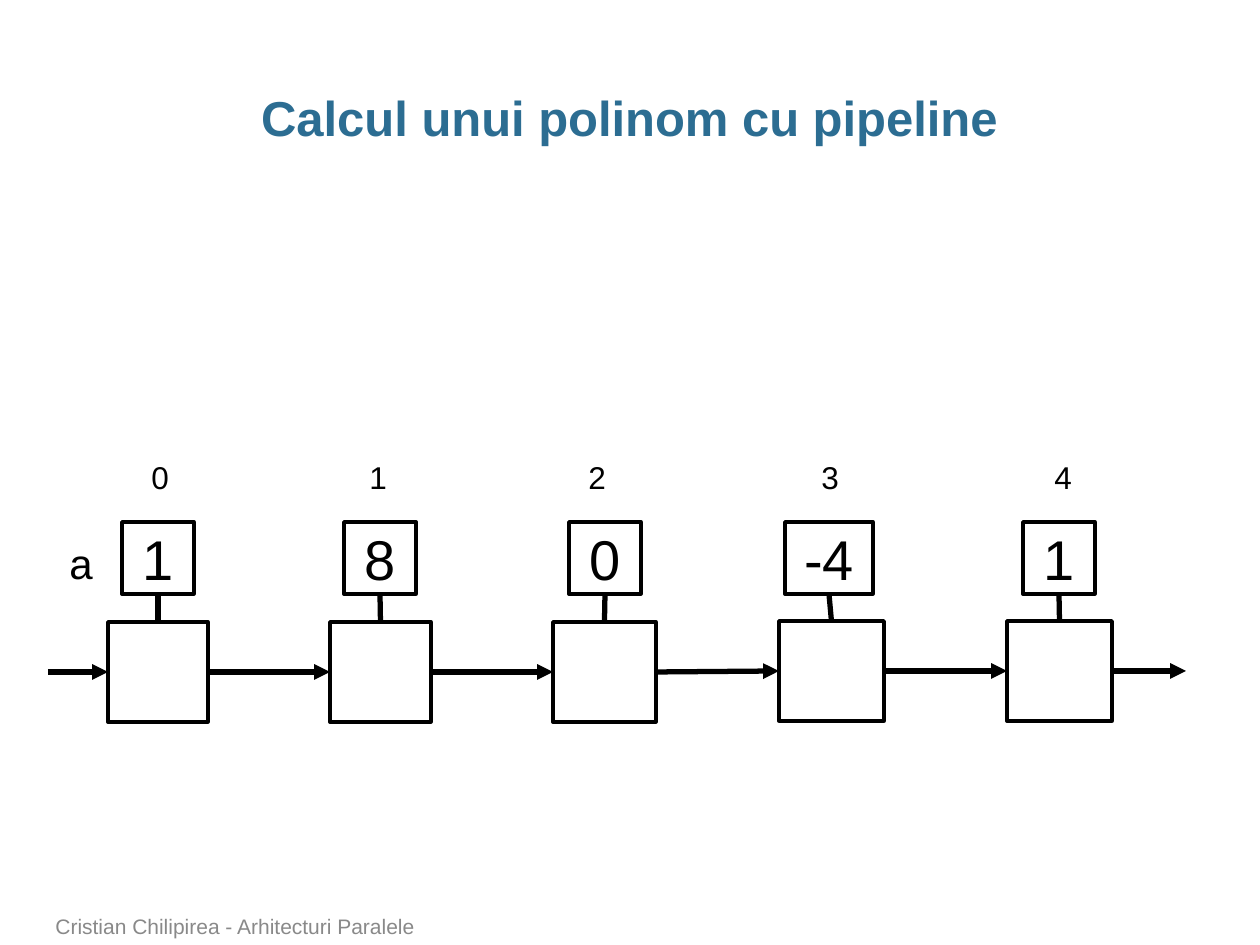
from collections import namedtuple

from lxml import etree
from pptx import Presentation
from pptx.dml.color import RGBColor
from pptx.enum.shapes import MSO_CONNECTOR, MSO_SHAPE
from pptx.enum.text import MSO_ANCHOR, MSO_AUTO_SIZE, PP_ALIGN
from pptx.oxml.ns import qn
from pptx.util import Emu, Pt

RECTANGLE = MSO_SHAPE.RECTANGLE
STRAIGHT = MSO_CONNECTOR.STRAIGHT
LEFT, CENTER = PP_ALIGN.LEFT, PP_ALIGN.CENTER
TOP, MIDDLE, BOTTOM = MSO_ANCHOR.TOP, MSO_ANCHOR.MIDDLE, MSO_ANCHOR.BOTTOM
FIT_SHAPE = MSO_AUTO_SIZE.SHAPE_TO_FIT_TEXT

EMU_PER_PX = 914400 / 126
FONT = "Arial"
COLORS = {"title": "2C6D92", "ink": "000000", "footer": "898989"}

STAGE_HEIGHT = 100
COEFFICIENT_TOP, COEFFICIENT_HEIGHT = 522, 72
INDEX_TOP, INDEX_WIDTH, INDEX_HEIGHT = 452, 43, 50
INPUT_X, OUTPUT_X = 48, 1186

Stage = namedtuple(
    "Stage", "left top width coefficient coefficient_left coefficient_width index_left")
STAGES = [
    Stage(108, 622, 100, "1", 122, 72, 139),
    Stage(330, 622, 101, "8", 344, 72, 357),
    Stage(553, 622, 103, "0", 569, 72, 576),
    Stage(779, 621, 105, "-4", 785, 88, 809),
    Stage(1007, 621, 105, "1", 1023, 72, 1042),
]


def px(length):
    return Emu(round(length * EMU_PER_PX))


def color(name):
    return RGBColor.from_string(COLORS[name])


def write(shape, text, size=18, ink="ink", bold=False, align=LEFT, anchor=TOP,
          wrap=True, side_inset=None, spacing=None):
    frame = shape.text_frame
    frame.word_wrap = wrap
    frame.vertical_anchor = anchor
    if not wrap:
        frame.auto_size = FIT_SHAPE
    if side_inset is not None:
        frame.margin_left = frame.margin_right = px(side_inset)
    para = frame.paragraphs[0]
    para.alignment = align
    if spacing:
        para.line_spacing = spacing
    span = para.add_run()
    span.text = text
    span.font.name = FONT
    span.font.size = Pt(size)
    span.font.bold = bold
    span.font.color.rgb = color(ink)


def add_label(page, text, left, top, width, height, **style):
    box = page.shapes.add_textbox(px(left), px(top), px(width), px(height))
    write(box, text, **style)


def add_box(page, left, top, width, height):
    box = page.shapes.add_shape(RECTANGLE, px(left), px(top), px(width), px(height))
    box.shadow.inherit = False
    box.fill.background()
    box.line.color.rgb = color("ink")
    box.line.width = Pt(2)
    return box


def add_line(page, start, end, arrow=False):
    line = page.shapes.add_connector(STRAIGHT, *map(px, start + end))
    line.line.color.rgb = color("ink")
    line.line.width = Pt(3)
    if arrow:
        outline = line.line._get_or_add_ln()
        etree.SubElement(outline, qn("a:tailEnd"), type="triangle")
    etree.SubElement(line._element.spPr, qn("a:effectLst"))


def add_stage(page, index, stage):
    add_box(page, stage.left, stage.top, stage.width, STAGE_HEIGHT)
    coefficient = add_box(page, stage.coefficient_left, COEFFICIENT_TOP,
                          stage.coefficient_width, COEFFICIENT_HEIGHT)
    write(coefficient, stage.coefficient, size=32, align=CENTER, anchor=MIDDLE)
    add_label(page, str(index), stage.index_left, INDEX_TOP, INDEX_WIDTH, INDEX_HEIGHT,
              wrap=False)
    add_line(page, (stage.left + stage.width / 2, stage.top),
             (stage.coefficient_left + stage.coefficient_width / 2,
              COEFFICIENT_TOP + COEFFICIENT_HEIGHT))


def add_flow(page):
    middles = [stage.top + STAGE_HEIGHT / 2 for stage in STAGES]
    starts = [(INPUT_X, middles[0])]
    starts += [(stage.left + stage.width, y) for stage, y in zip(STAGES, middles)]
    ends = [(stage.left, y) for stage, y in zip(STAGES, middles)]
    ends.append((OUTPUT_X, middles[-1]))
    for start, end in zip(starts, ends):
        add_line(page, start, end, arrow=True)


def main():
    deck = Presentation()
    deck.slide_width, deck.slide_height = px(1260), px(945)
    page = deck.slides.add_slide(deck.slide_layouts[6])
    add_label(page, "Calcul unui polinom cu pipeline", 43, 86, 1173, 63, size=28,
              ink="title", bold=True, align=CENTER, side_inset=0, spacing=0.95)
    for index, stage in enumerate(STAGES):
        add_stage(page, index, stage)
    add_flow(page)
    add_label(page, "a", 57, 531, 49, 63, size=24, wrap=False)
    add_label(page, "Cristian Chilipirea - Arhitecturi Paralele", 43, 910, 929, 35,
              size=12, ink="footer", anchor=BOTTOM)
    deck.save("out.pptx")


if __name__ == "__main__":
    main()
